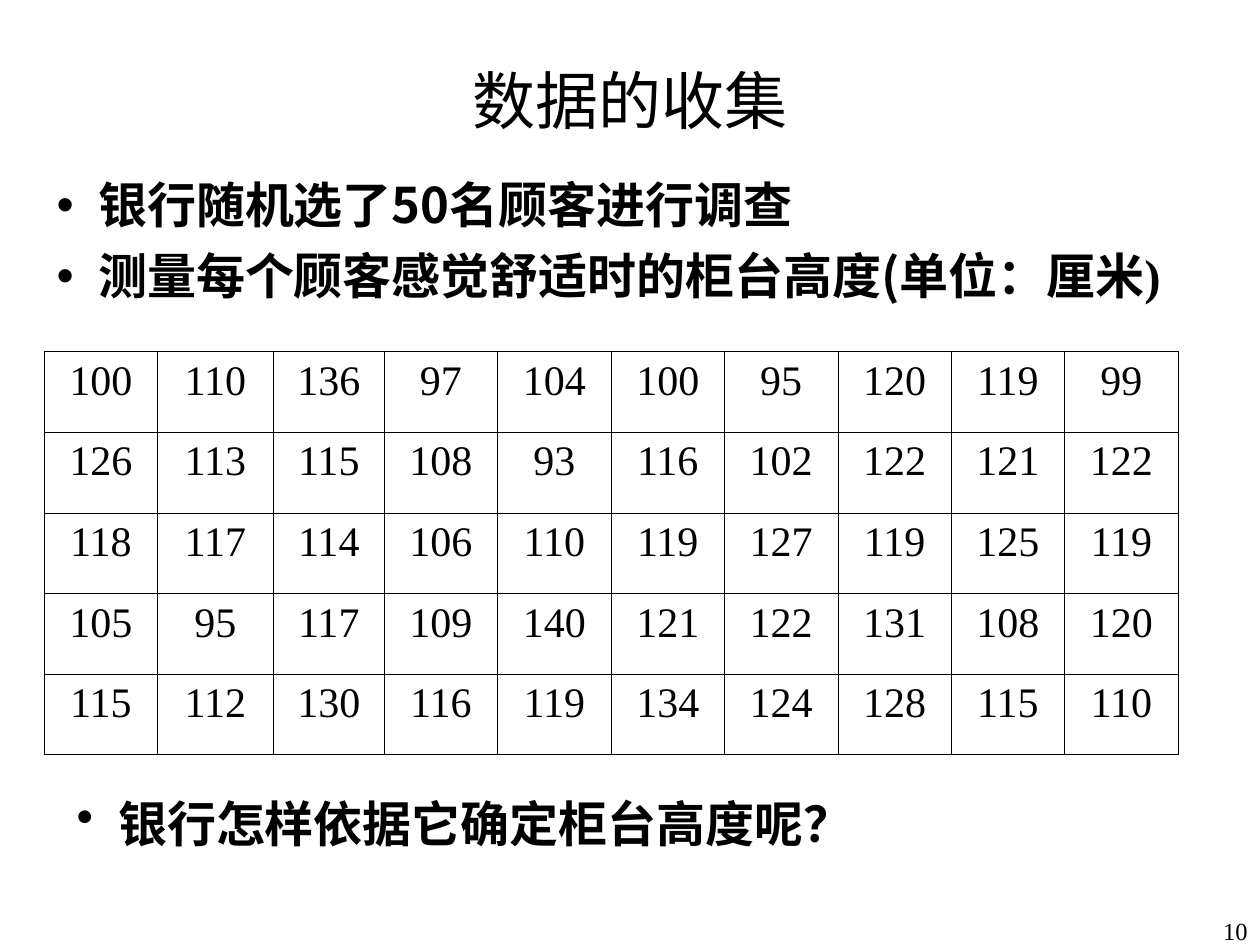
from dataclasses import dataclass

from lxml.etree import SubElement
from pptx import Presentation
from pptx.dml.color import RGBColor
from pptx.enum.text import MSO_ANCHOR, MSO_AUTO_SIZE, PP_ALIGN
from pptx.oxml.ns import qn
from pptx.util import Inches, Pt

BLACK = RGBColor(0x00, 0x00, 0x00)
SERIF = "Times New Roman"
SANS = "Noto Sans CJK SC"

HEIGHTS = (
    (100, 110, 136, 97, 104, 100, 95, 120, 119, 99),
    (126, 113, 115, 108, 93, 116, 102, 122, 121, 122),
    (118, 117, 114, 106, 110, 119, 127, 119, 125, 119),
    (105, 95, 117, 109, 140, 121, 122, 131, 108, 120),
    (115, 112, 130, 116, 119, 134, 124, 128, 115, 110),
)
COLUMN_WIDTHS = (0.9, 0.92, 0.88) + (0.9,) * 7
ROW_HEIGHT = 0.64


@dataclass(frozen=True)
class Box:
    left: float
    top: float
    width: float
    height: float

    def lengths(self) -> tuple:
        return tuple(Inches(value) for value in (self.left, self.top, self.width, self.height))


@dataclass(frozen=True)
class BulletLine:
    text: str
    serif_ending: str = ""


def place(shape, box: Box) -> None:
    shape.left, shape.top, shape.width, shape.height = box.lengths()


def write_text(paragraph, text: str, *, size: float, font: str = SERIF,
               bold: bool = False, align=PP_ALIGN.LEFT) -> None:
    paragraph.alignment = align
    run = paragraph.add_run()
    run.text = text
    run.font.size = Pt(size)
    run.font.name = font
    run.font.bold = bold
    run.font.color.rgb = BLACK


def write_bullets(shape, lines: tuple[BulletLine, ...]) -> None:
    frame = shape.text_frame
    frame.word_wrap = True
    frame.auto_size = MSO_AUTO_SIZE.SHAPE_TO_FIT_TEXT
    frame.margin_right = Inches(0.05)
    for index, line in enumerate(lines):
        paragraph = frame.add_paragraph() if index else frame.paragraphs[0]
        properties = paragraph._p.get_or_add_pPr()
        properties.set("marL", str(Inches(0.33)))
        properties.set("indent", str(-Inches(0.33)))
        SubElement(properties, qn("a:buChar")).set("char", "•")
        paragraph.line_spacing = Pt(33.5)
        paragraph.space_before = Pt(7 if index else 0)
        write_text(paragraph, line.text, size=28, font=SANS, bold=True)
        if line.serif_ending:
            write_text(paragraph, line.serif_ending, size=28, bold=True)


def draw_borders(cell, widths: dict[str, float]) -> None:
    properties = cell._tc.get_or_add_tcPr()
    for side, width in widths.items():
        line = SubElement(properties, qn(f"a:ln{side}"), w=str(Pt(width)))
        fill = SubElement(line, qn("a:solidFill"))
        SubElement(fill, qn("a:srgbClr"), val=str(BLACK))


def add_height_table(slide, box: Box) -> None:
    row_count, column_count = len(HEIGHTS), len(COLUMN_WIDTHS)
    table = slide.shapes.add_table(row_count, column_count, *box.lengths()).table
    table.first_row = False
    table.horz_banding = False
    for column, width in zip(table.columns, COLUMN_WIDTHS):
        column.width = Inches(width)
    for row_index, values in enumerate(HEIGHTS):
        table.rows[row_index].height = Inches(ROW_HEIGHT)
        for column_index, value in enumerate(values):
            cell = table.cell(row_index, column_index)
            outer = {
                "L": column_index == 0,
                "R": column_index == column_count - 1,
                "T": row_index == 0,
                "B": row_index == row_count - 1,
            }
            draw_borders(cell, {side: 0.45 if edge else 0.34 for side, edge in outer.items()})
            cell.fill.background()
            write_text(cell.text_frame.paragraphs[0], str(value), size=24, align=PP_ALIGN.CENTER)


def main() -> None:
    presentation = Presentation()
    presentation.slide_width = Inches(10)
    presentation.slide_height = Inches(7.5)
    slide = presentation.slides.add_slide(presentation.slide_layouts[1])

    title = slide.shapes.title
    place(title, Box(0.5, 0.44, 9, 1.11))
    title.text_frame.vertical_anchor = MSO_ANCHOR.TOP
    title.text_frame.auto_size = MSO_AUTO_SIZE.NONE
    write_text(title.text_frame.paragraphs[0], "数据的收集", size=36, align=PP_ALIGN.CENTER)

    survey = slide.placeholders[1]
    place(survey, Box(0.35, 1.34, 9.29, 1.13))
    write_bullets(survey, (
        BulletLine("银行随机选了50名顾客进行调查"),
        BulletLine("测量每个顾客感觉舒适时的柜台高度(", "单位：厘米)"),
    ))

    add_height_table(slide, Box(0.35, 2.79, sum(COLUMN_WIDTHS), ROW_HEIGHT * len(HEIGHTS)))

    question = slide.shapes.add_textbox(*Box(0.51, 6.25, 9.29, 0.57).lengths())
    write_bullets(question, (BulletLine("银行怎样依据它确定柜台高度呢？"),))

    page_number = slide.shapes.add_textbox(*Box(7.76, 7.22, 2.24, 0.28).lengths())
    page_number.text_frame.word_wrap = True
    write_text(page_number.text_frame.paragraphs[0], "10", size=14, align=PP_ALIGN.RIGHT)

    presentation.save("out.pptx")


if __name__ == "__main__":
    main()
